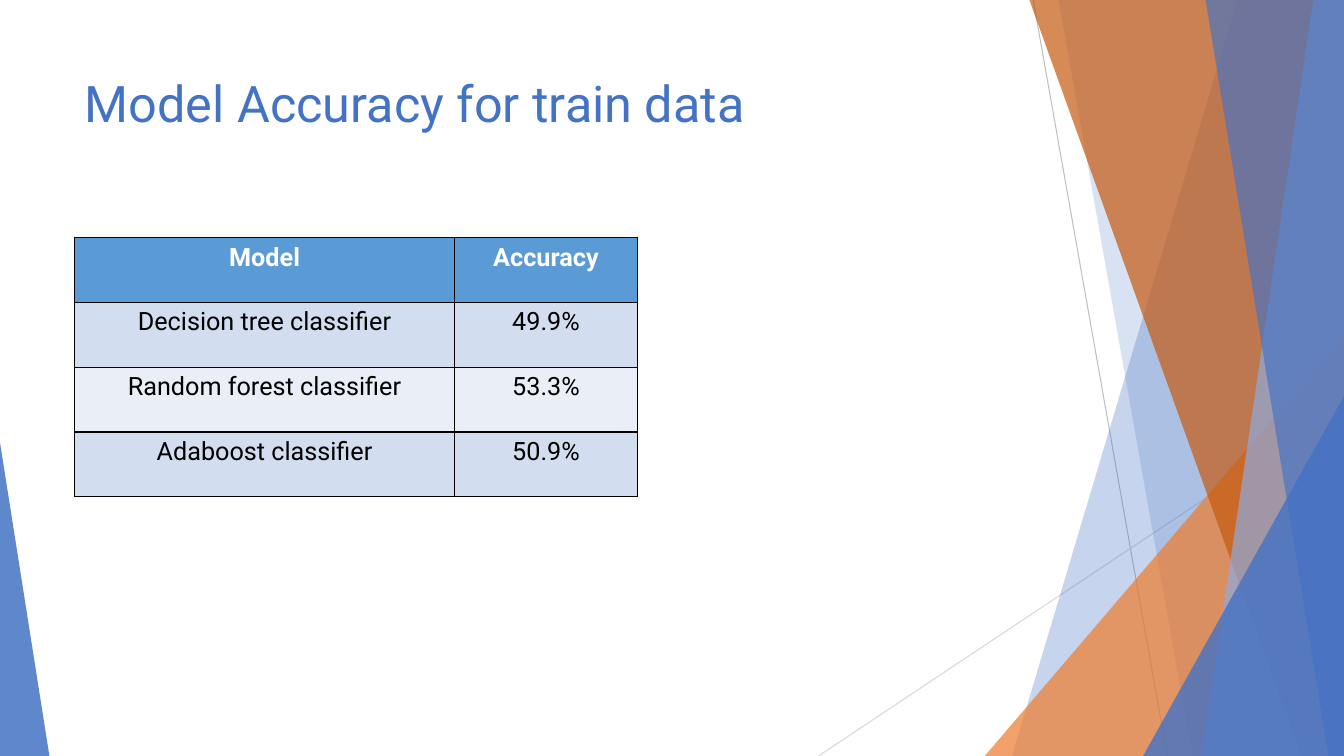
from lxml import etree
from pptx import Presentation
from pptx.dml.color import RGBColor
from pptx.enum import shapes, text
from pptx.oxml import ns
from pptx.util import Pt

WIDTH, HEIGHT = 960, 540
FONT = "Roboto"
BLUE, ORANGE, BLACK, WHITE = "4472C4", "ED7D31", "000000", "FFFFFF"

# Content
TITLE = "Model Accuracy for train data"
ROWS = [
    ("Model", "Accuracy"),
    ("Decision tree classifier", "49.9%"),
    ("Random forest classifier", "53.3%"),
    ("Adaboost classifier", "50.9%"),
]
COLUMN_WIDTHS = (271.4, 130.7)
ROW_HEIGHT = 46.25
ROW_FILLS = ("5B9BD5", "D2DEEF", "EAEFF7", "D2DEEF")

# Decoration: (from x, from y, to x, to y, colour)
RAYS = [
    (738, 0, 833.76, HEIGHT, "BFBFBF"),
    (WIDTH, 290.16, 584.64, HEIGHT, "D9D9D9"),
]
# Bands reach the right edge: ("band", top x, bottom x, colour, opacity %)
# Wedges stand on the bottom edge: ("wedge", left, top, width, apex, colour, opacity %)
FACETS = [
    ("band", 884.16, 722.88, BLUE, 30),
    ("band", 756, 851.76, BLUE, 20),
    ("wedge", 703.44, 239.76, 256.56, 1, ORANGE, 72),
    ("band", 735.12, 929.52, "C55A11", 70),
    ("band", 938.16, 858.24, "8FAADC", 70),
    ("band", 861.12, 948.96, BLUE, 65),
    ("wedge", 816.48, 282.96, 143.52, 1, BLUE, 80),
    ("wedge", 0, 316.08, 35.28, 0, BLUE, 85),
]


def color(value):
    return RGBColor.from_string(value)


def add_child(parent, tag, **attributes):
    return etree.SubElement(parent, ns.qn(tag), attributes)


def paint(shape, value, opacity):
    shape.shadow.inherit = False
    shape.line.fill.background()
    shape.fill.solid()
    shape.fill.fore_color.rgb = color(value)
    fill = shape.element.spPr.find(ns.qn("a:solidFill"))
    add_child(fill[0], "a:alpha", val=str(opacity * 1000))


def add_ray(page, x1, y1, x2, y2, value):
    ray = page.shapes.add_connector(
        shapes.MSO_CONNECTOR.STRAIGHT, Pt(x1), Pt(y1), Pt(x2), Pt(y2))
    ray.line.color.rgb = color(value)
    ray.line.width = Pt(0.75)
    add_child(ray.element.spPr, "a:effectLst")


def add_band(page, top_x, bottom_x, value, opacity):
    top = -0.6
    builder = page.shapes.build_freeform(Pt(top_x), Pt(top))
    corners = [(WIDTH, top), (WIDTH, HEIGHT), (bottom_x, HEIGHT)]
    builder.add_line_segments([(Pt(x), Pt(y)) for x, y in corners], close=True)
    paint(builder.convert_to_shape(), value, opacity)


def add_wedge(page, left, top, width, apex, value, opacity):
    wedge = page.shapes.add_shape(
        shapes.MSO_SHAPE.ISOSCELES_TRIANGLE,
        Pt(left), Pt(top), Pt(width), Pt(HEIGHT - top))
    wedge.adjustments[0] = apex
    paint(wedge, value, opacity)


def write(para, words, size, value, bold=False):
    span = para.add_run()
    span.text = words
    span.font.name = FONT
    span.font.size = Pt(size)
    span.font.bold = bold
    span.font.color.rgb = color(value)


def add_borders(cell):
    properties = cell._tc.get_or_add_tcPr()
    for position, side in enumerate(("a:lnL", "a:lnR", "a:lnT", "a:lnB")):
        border = etree.Element(ns.qn(side), w=str(Pt(1)))
        add_child(add_child(border, "a:solidFill"), "a:srgbClr", val=BLACK)
        properties.insert(position, border)


def add_accuracy_table(page):
    frame = page.shapes.add_table(
        len(ROWS), len(COLUMN_WIDTHS), Pt(53.28), Pt(169.92),
        Pt(sum(COLUMN_WIDTHS)), Pt(ROW_HEIGHT * len(ROWS)))
    table = frame.table
    for column, width in zip(table.columns, COLUMN_WIDTHS):
        column.width = Pt(width)
    for r, (row, fill) in enumerate(zip(ROWS, ROW_FILLS)):
        table.rows[r].height = Pt(ROW_HEIGHT)
        header = r == 0
        for c, words in enumerate(row):
            cell = table.cell(r, c)
            cell.fill.solid()
            cell.fill.fore_color.rgb = color(fill)
            add_borders(cell)
            para = cell.text_frame.paragraphs[0]
            para.alignment = text.PP_ALIGN.CENTER
            write(para, words, 18, WHITE if header else BLACK, header)


def main():
    deck = Presentation()
    deck.slide_width, deck.slide_height = Pt(WIDTH), Pt(HEIGHT)
    page = deck.slides.add_slide(deck.slide_layouts[5])
    title = page.shapes.title

    # Background decoration
    for ray in RAYS:
        add_ray(page, *ray)
    draw = {"band": add_band, "wedge": add_wedge}
    for kind, *facet in FACETS:
        draw[kind](page, *facet)

    # Title, brought in front of the decoration
    title.element.getparent().append(title.element)
    title.left, title.top = Pt(53.28), Pt(48.24)
    title.width, title.height = Pt(676.8), Pt(103.68)
    title.text_frame.vertical_anchor = text.MSO_ANCHOR.TOP
    para = title.text_frame.paragraphs[0]
    para.alignment = text.PP_ALIGN.LEFT
    write(para, TITLE, 36, BLUE)

    # Accuracy table
    add_accuracy_table(page)
    deck.save("out.pptx")


if __name__ == "__main__":
    main()
